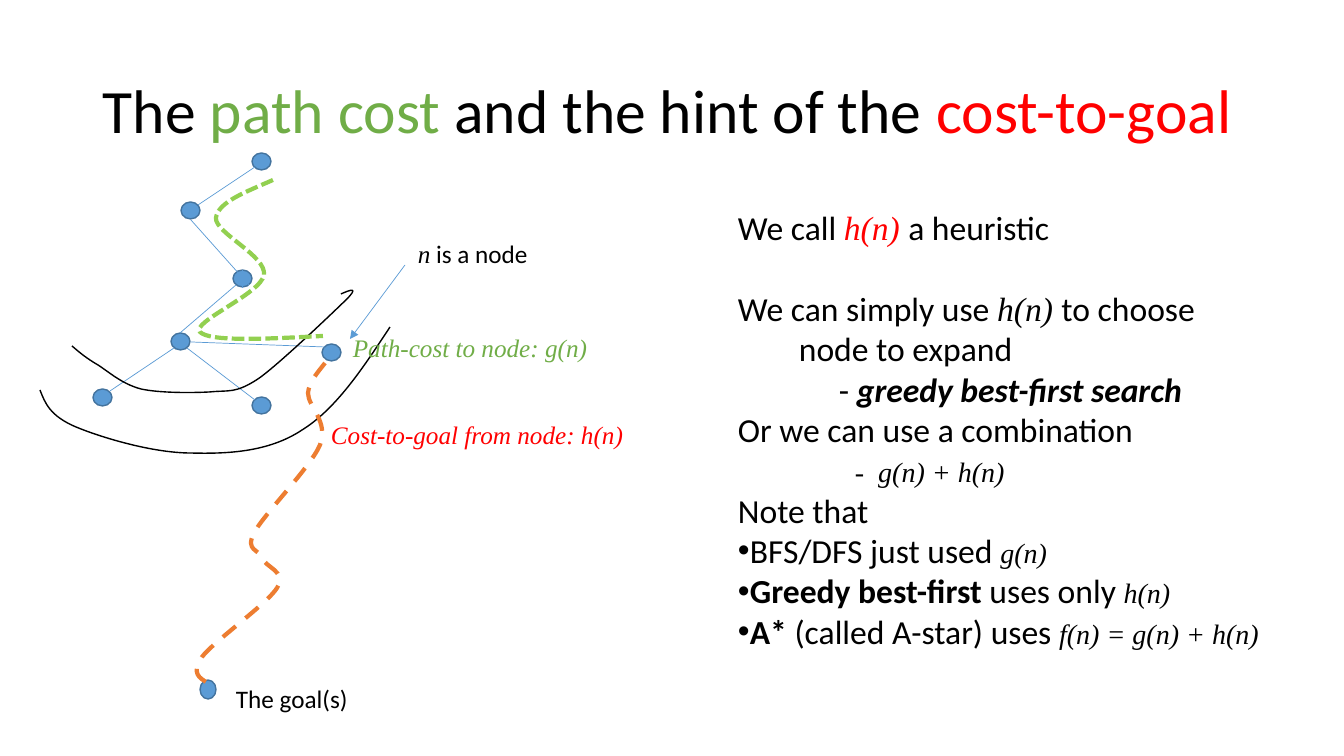
from dataclasses import dataclass

from lxml import etree
from pptx import Presentation
from pptx.dml.color import RGBColor
from pptx.enum import dml, shapes, text
from pptx.oxml import ns
from pptx.util import Emu, Pt

EMU_PER_PIXEL = 914400 / 100.8
COLORS = {
    "black": "000000", "red": "FF0000", "green": "70AD47", "lime": "92D050",
    "orange": "ED7D31", "blue": "5B9BD5", "node_edge": "43739E",
}
SANS, SERIF = "Calibri", "Times New Roman"
Point = tuple[int, int]
Box = tuple[int, int, int, int]


@dataclass
class Run:
    words: str
    size: int = 24
    font: str = SANS
    color: str = "black"
    bold: bool = False
    italic: bool = False


@dataclass
class Line:
    runs: list[Run]
    indent: int = 0
    bullet: bool = False
    space_before: int = 0
    space_after: int = 0
    spacing: float = 1.0


@dataclass
class Label:
    box: Box
    lines: list[Line]
    wrap: bool = False
    anchor: text.MSO_ANCHOR = text.MSO_ANCHOR.TOP


@dataclass
class Curve:
    """Chain of cubic Beziers: a start, then three points per segment."""
    box: Box
    points: list[Point]
    color: str = "black"
    width: int = 1
    dash: dml.MSO_LINE | None = None


def px(value: float) -> Emu:
    return Emu(round(value * EMU_PER_PIXEL))


def rgb(name: str) -> RGBColor:
    return RGBColor.from_string(COLORS[name])


def formula(words: str, size: int = 20, color: str = "black") -> Run:
    return Run(words, size, SERIF, color, italic=True)


def add_line_text(paragraph, line: Line) -> None:
    paragraph.line_spacing = line.spacing
    paragraph.space_before = Pt(line.space_before)
    paragraph.space_after = Pt(line.space_after)
    properties = paragraph._p.get_or_add_pPr()
    properties.set("marL", str(px(line.indent)))
    if line.bullet:
        properties.set("indent", str(-px(line.indent)))
        etree.SubElement(properties, ns.qn("a:buFont"), typeface="Arial")
        etree.SubElement(properties, ns.qn("a:buChar"), char="•")
    for item in line.runs:
        run = paragraph.add_run()
        run.text = item.words
        run.font.name, run.font.size = item.font, Pt(item.size)
        run.font.bold, run.font.italic = item.bold, item.italic
        run.font.color.rgb = rgb(item.color)


def add_label(slide, label: Label) -> None:
    frame = slide.shapes.add_textbox(*map(px, label.box)).text_frame
    frame.word_wrap = label.wrap
    frame.vertical_anchor = label.anchor
    for index, line in enumerate(label.lines):
        add_line_text(frame.add_paragraph() if index else frame.paragraphs[0], line)


def add_node(slide, box: Box) -> None:
    shape = slide.shapes.add_shape(shapes.MSO_SHAPE.OVAL, *map(px, box))
    shape.shadow.inherit = False
    shape.fill.solid()
    shape.fill.fore_color.rgb = rgb("blue")
    shape.line.color.rgb = rgb("node_edge")
    shape.line.width = Pt(1)


def add_edge(slide, start: Point, end: Point, arrow: bool = False) -> None:
    connector = slide.shapes.add_connector(
        shapes.MSO_CONNECTOR.STRAIGHT, *map(px, start + end))
    connector.line.color.rgb = rgb("blue")
    connector.line.width = Pt(0.5)
    if arrow:
        etree.SubElement(connector.line._get_or_add_ln(), ns.qn("a:tailEnd"), type="triangle")
    etree.SubElement(connector._element.spPr, ns.qn("a:effectLst"))


def add_curve(slide, curve: Curve) -> None:
    left, top, width, height = curve.box
    builder = slide.shapes.build_freeform(px(left), px(top))
    builder.add_line_segments([(px(left + width), px(top + height))], close=False)
    shape = builder.convert_to_shape()

    # The freeform spans the box; its outline becomes the Bezier chain
    outline = next(shape._element.iter(ns.qn("a:path")))
    for child in list(outline):
        outline.remove(child)
    commands = [("a:moveTo", curve.points[:1])]
    commands += [("a:cubicBezTo", curve.points[first:first + 3])
                 for first in range(1, len(curve.points), 3)]
    for tag, points in commands:
        command = etree.SubElement(outline, ns.qn(tag))
        for x, y in points:
            etree.SubElement(command, ns.qn("a:pt"), x=str(px(x - left)), y=str(px(y - top)))

    shape.shadow.inherit = False
    shape.fill.background()
    shape.line.color.rgb = rgb(curve.color)
    shape.line.width = Pt(curve.width)
    if curve.dash:
        shape.line.dash_style = curve.dash


# Search tree
NODES = [(181, 202), (233, 270), (171, 333), (252, 397), (322, 344), (252, 153), (93, 389)]
GOAL = (200, 680, 16, 19)
EDGES = [
    ((255, 167), (198, 205)), ((191, 220), (249, 285)), ((242, 270), (242, 288)),
    ((180, 333), (236, 285)), ((174, 348), (110, 391)), ((187, 348), (255, 400)),
    ((191, 342), (325, 347)),
]
FRONTIERS = [
    Curve((72, 291, 280, 102),
          [(72, 346), (79, 352), (86, 358), (98, 365), (109, 372), (122, 384), (141, 389),
           (159, 393), (191, 393), (210, 392), (229, 390), (235, 394), (258, 379),
           (280, 364), (346, 300), (346, 300), (360, 286), (350, 290), (341, 294)]),
    Curve((40, 327, 351, 126),
          [(40, 390), (45, 403), (50, 416), (76, 427), (100, 437), (152, 453), (191, 453),
           (228, 454), (269, 452), (302, 430), (336, 409), (363, 368), (390, 327)]),
]
COST_PATHS = [
    Curve((198, 180, 125, 157),
          [(273, 180), (246, 192), (218, 202), (216, 218), (215, 233), (267, 256), (264, 275),
           (261, 294), (191, 322), (200, 332), (210, 342), (266, 339), (323, 336)],
          "lime", 3, dml.MSO_LINE.SQUARE_DOT),
    Curve((196, 363, 129, 320),
          [(325, 363), (318, 372), (309, 382), (308, 393), (308, 407), (329, 421), (320, 445),
           (310, 468), (264, 514), (254, 533), (245, 551), (259, 549), (262, 558),
           (266, 568), (287, 571), (277, 588), (267, 604), (213, 642), (202, 657),
           (191, 673), (199, 678), (208, 683)], "orange", 3, dml.MSO_LINE.DASH),
]

# Texts
TITLE = Label((93, 41, 1159, 146), [Line([
    Run("The ", 44), Run("path cost ", 44, color="green"),
    Run("and the hint of the ", 44), Run("cost-to-goal", 44, color="red")],
    spacing=0.9)], wrap=True, anchor=text.MSO_ANCHOR.MIDDLE)
TREE_LABELS = [
    Label((321, 414, 315, 40), [Line([formula("Cost-to-goal from node: h(n)", 18, "red")])]),
    Label((343, 327, 257, 40), [Line([formula("Path-cost to node: g(n)", 18, "green")])]),
    Label((226, 678, 133, 40), [Line([Run("The goal(s)", 18)])]),
    Label((408, 233, 132, 40), [Line([formula("n", 18), Run(" is a node", 18)])]),
]
EXPLANATION = Label((728, 202, 578, 499), [
    Line([Run("We call "), formula("h(n) ", 24, "red"), Run("a heuristic ")]),
    Line([Run("We can simply use "), formula("h(n) ", 24), Run("to choose ")], space_before=29),
    Line([Run("node to expand ")], indent=61),
    Line([Run("- "), Run("greedy best-first search", bold=True, italic=True)], indent=101),
    Line([Run("Or we can use a combination")]),
    Line([formula("-  g(n) + h(n)")], indent=117, space_before=4, space_after=1),
    Line([Run("Note that")]),
    Line([Run("BFS/DFS just used "), formula("g(n)")], 12, True),
    Line([Run("Greedy best-first", bold=True), Run(" uses only "), formula("h(n)")], 12, True),
    Line([Run("A* ", bold=True), Run("(called A-star) uses "),
          formula("f(n) = g(n) + h(n)")], 12, True),
], wrap=True)

presentation = Presentation()
presentation.slide_width, presentation.slide_height = px(1344), px(756)
slide = presentation.slides.add_slide(presentation.slide_layouts[6])

add_label(slide, TITLE)
for left, top in NODES:
    add_node(slide, (left, top, 19, 17))
for start, end in EDGES:
    add_edge(slide, start, end)
for curve in FRONTIERS:
    add_curve(slide, curve)
add_node(slide, GOAL)
for curve in COST_PATHS:
    add_curve(slide, curve)
for label in [*TREE_LABELS, EXPLANATION]:
    add_label(slide, label)
add_edge(slide, (405, 265), (350, 339), arrow=True)

presentation.save("out.pptx")
